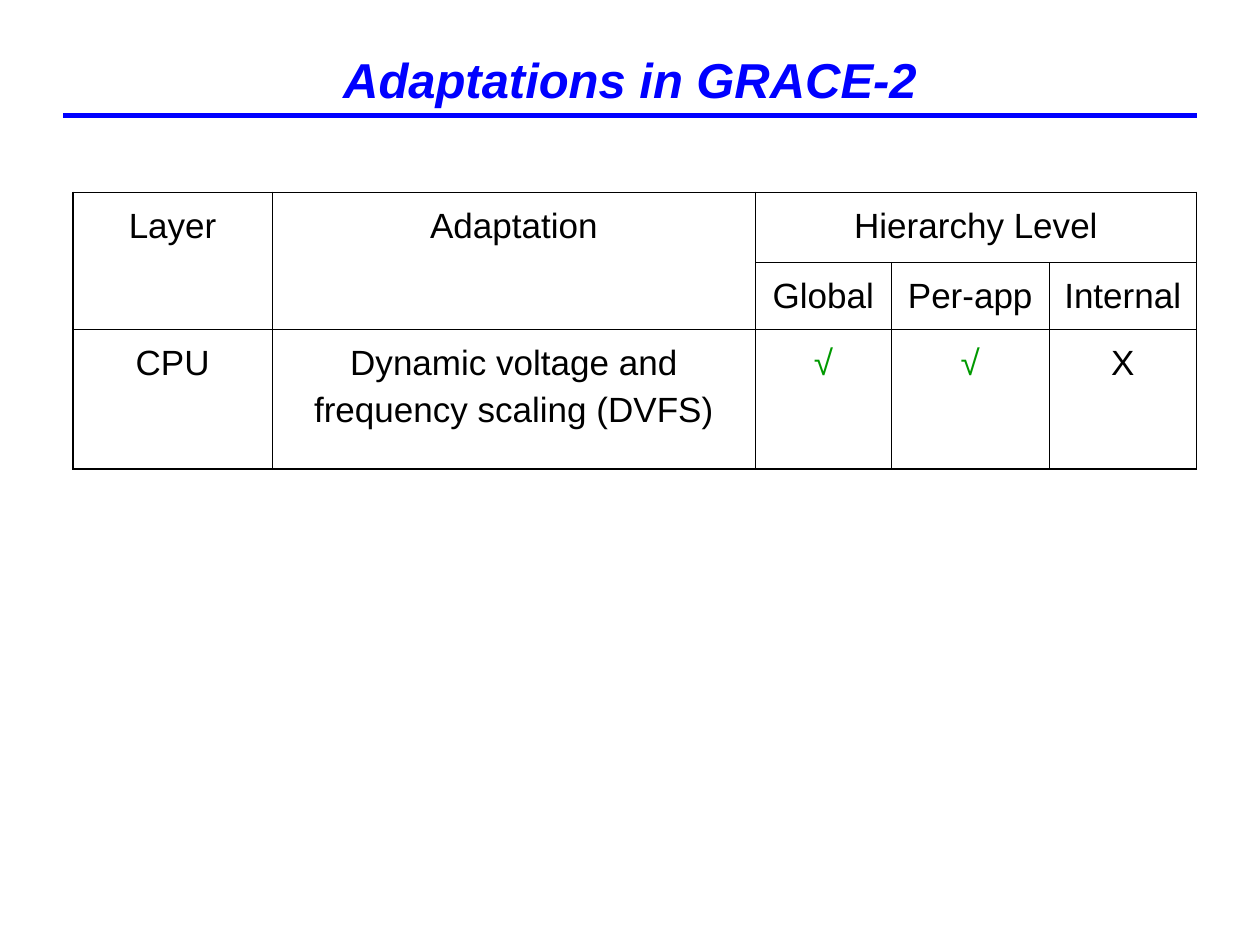
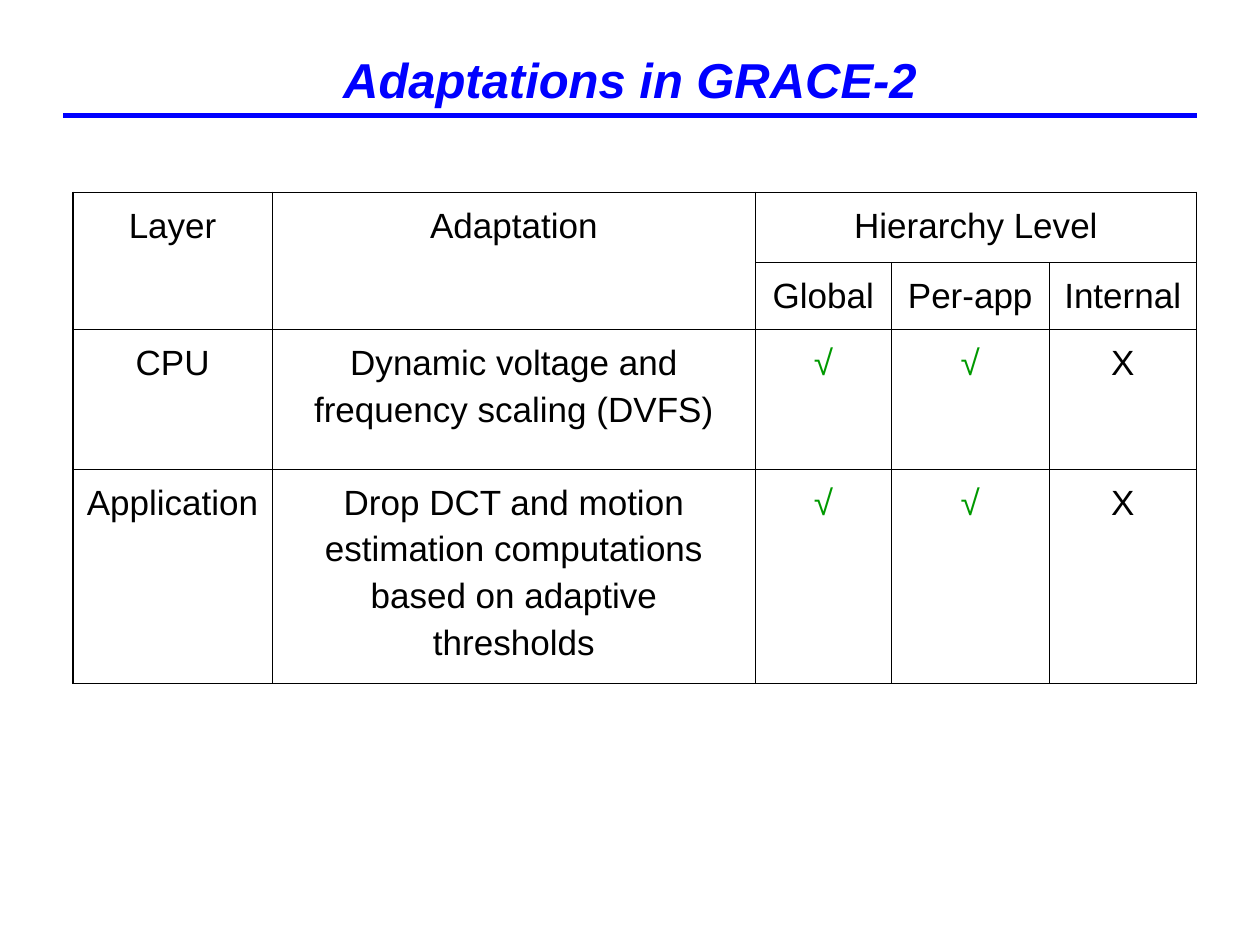
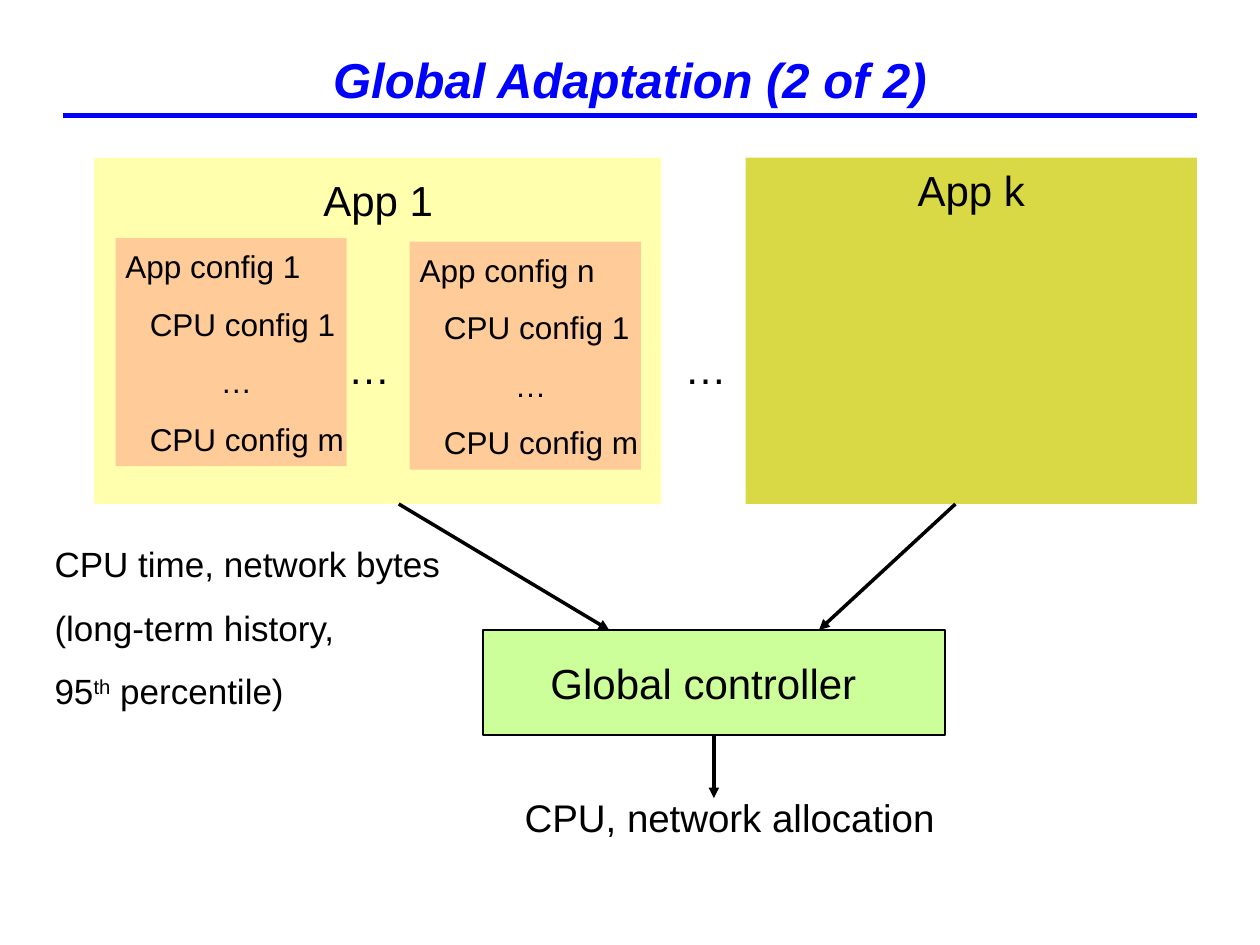
from dataclasses import dataclass

from lxml import etree
from pptx import Presentation
from pptx.dml.color import RGBColor
from pptx.enum.shapes import MSO_CONNECTOR, MSO_SHAPE
from pptx.enum.text import MSO_ANCHOR, PP_ALIGN
from pptx.oxml.ns import qn
from pptx.util import Cm, Pt

LEFT, CENTER = PP_ALIGN.LEFT, PP_ALIGN.CENTER
TOP, MIDDLE = MSO_ANCHOR.TOP, MSO_ANCHOR.MIDDLE
RECTANGLE, STRAIGHT = MSO_SHAPE.RECTANGLE, MSO_CONNECTOR.STRAIGHT


@dataclass(frozen=True)
class Theme:
    font: str = "Arial"
    ink: str = "000000"
    accent: str = "0000FF"
    check: str = "009900"
    app_one: str = "FFFF99"
    app_last: str = "CCCC00"
    config: str = "FFCC99"
    controller: str = "CCFF99"
    title_size: float = 28
    label_size: float = 24
    result_size: float = 22
    body_size: float = 20
    config_size: float = 18
    rule_width: float = 3
    arrow_width: float = 2
    outline_width: float = 0.75
    outer_border: float = 1.08
    inner_border: float = 0.45


def set_values(target, values):
    for name, value in values.items():
        setattr(target, name, value)


class SlideBuilder:
    def __init__(self, deck, theme):
        self.deck = deck
        self.theme = theme
        self.slide = None

    def start(self, title):
        self.slide = self.deck.slides.add_slide(self.deck.slide_layouts[6])
        theme = self.theme
        self.line((1.27, 2.33), (24.13, 2.33), theme.accent, theme.rule_width)
        self.text((1.27, 0.64, 22.86, 1.9), [title], theme.title_size, align=CENTER,
                  anchor=MIDDLE, color=theme.accent, bold=True, italic=True)

    def line(self, start, end, color, width, arrow=False):
        line = self.slide.shapes.add_connector(STRAIGHT, *map(Cm, start + end))
        line.line.color.rgb = RGBColor.from_string(color)
        line.line.width = Pt(width)
        properties = line._element.spPr
        etree.SubElement(properties, qn("a:effectLst"))
        if arrow:
            etree.SubElement(properties.find(qn("a:ln")), qn("a:tailEnd"), type="triangle")

    def arrow(self, start, end):
        self.line(start, end, self.theme.ink, self.theme.arrow_width, arrow=True)

    def box(self, area, color, opacity=100, outlined=False):
        box = self.slide.shapes.add_shape(RECTANGLE, *map(Cm, area))
        box.shadow.inherit = False
        box.fill.solid()
        box.fill.fore_color.rgb = RGBColor.from_string(color)
        if opacity < 100:
            fill_color = box._element.spPr.find(qn("a:solidFill"))[0]
            etree.SubElement(fill_color, qn("a:alpha"), val=str(opacity * 1000))
        if outlined:
            box.line.color.rgb = RGBColor.from_string(self.theme.ink)
            box.line.width = Pt(self.theme.outline_width)
        else:
            box.line.fill.background()
        return box

    def text(self, area, lines, size, **style):
        box = self.slide.shapes.add_textbox(*map(Cm, area))
        self.fill_text(box.text_frame, lines, size, **style)

    def fill_text(self, frame, lines, size, align=LEFT, anchor=TOP, color=None, space=0,
                  spacing=None, indents=(), margins=(0.25, 0.13, 0.25, 0.13), **style):
        sides = ("margin_left", "margin_top", "margin_right", "margin_bottom")
        set_values(frame, dict(zip(sides, map(Cm, margins))))
        set_values(frame, {"word_wrap": True, "vertical_anchor": anchor})
        font = {"name": self.theme.font, "size": Pt(size), **style}
        for index, line in enumerate(lines):
            para = frame.paragraphs[0] if index == 0 else frame.add_paragraph()
            set_values(para, {"alignment": align, "space_before": Pt(space),
                              "line_spacing": spacing})
            if indents:
                properties = para._p.get_or_add_pPr()
                properties.set("marL", str(Cm(indents[index])))
                properties.set("indent", "0")
            for part in [line] if isinstance(line, str) else line:
                content, baseline = (part, 0) if isinstance(part, str) else part
                span = para.add_run()
                span.text = content
                set_values(span.font, font)
                span.font.color.rgb = RGBColor.from_string(color or self.theme.ink)
                if baseline:
                    span._r.get_or_add_rPr().set("baseline", str(baseline * 1000))

    def table(self, corner, widths, heights, rows, merges):
        area = (*corner, sum(widths), sum(heights))
        table = self.slide.shapes.add_table(len(rows), len(widths), *map(Cm, area)).table
        set_values(table, {"first_row": False, "horz_banding": False})
        for column, width in zip(table.columns, widths):
            column.width = Cm(width)
        for row, height in zip(table.rows, heights):
            row.height = Cm(height)
        for first, last in merges:
            table.cell(*first).merge(table.cell(*last))
        for top, row in enumerate(rows):
            for left, content in enumerate(row):
                cell = table.cell(top, left)
                right, bottom = left + cell.span_width, top + cell.span_height
                self.borders(cell, {"L": left == 0, "R": right == len(widths),
                                    "T": top == 0, "B": bottom == len(rows)})
                cell.fill.background()
                if content:
                    self.fill_text(cell.text_frame, [content], self.theme.body_size,
                                   align=CENTER, space=25, spacing=1.2,
                                   color=self.theme.check if content == "√" else None)

    def borders(self, cell, outer_sides):
        properties = cell._tc.get_or_add_tcPr()
        for side, outer in outer_sides.items():
            width = self.theme.outer_border if outer else self.theme.inner_border
            line = etree.SubElement(properties, qn(f"a:ln{side}"), w=str(Pt(width)))
            fill = etree.SubElement(line, qn("a:solidFill"))
            etree.SubElement(fill, qn("a:srgbClr"), val=self.theme.ink)


HEADER_ROWS = [
    ["Layer", "Adaptation", "Hierarchy Level", "", ""],
    ["", "", "Global", "Per-app", "Internal"],
]
LAYER_ROWS = [
    ["CPU", "Dynamic voltage and frequency scaling (DVFS)", "√", "√", "X"],
    ["Application", "Drop DCT and motion estimation computations based on adaptive thresholds",
     "√", "√", "X"],
]
HEADER_MERGES = [((0, 0), (1, 0)), ((0, 1), (1, 1)), ((0, 2), (0, 4))]
COLUMN_WIDTHS = [4.02, 9.74, 2.74, 3.18, 2.97]
ROW_HEIGHTS = [1.41, 1.35, 2.82, 3.3]


def adaptations_slide(builder, layer_count):
    builder.start("Adaptations in GRACE-2")
    rows = HEADER_ROWS + LAYER_ROWS[:layer_count]
    builder.table((1.47, 3.88), COLUMN_WIDTHS, ROW_HEIGHTS[:len(rows)], rows, HEADER_MERGES)


def global_adaptation_slide(builder):
    theme = builder.theme
    builder.start("Global Adaptation (2 of 2)")
    label = {"size": theme.label_size, "space": 15}

    builder.box((1.9, 3.18, 11.43, 6.98), theme.app_one, opacity=80)
    builder.text((5.72, 3.39, 3.81, 1.27), ["App 1"], align=CENTER, **label)
    app_last = builder.box((15.03, 3.18, 9.1, 6.98), theme.app_last, opacity=73)
    builder.fill_text(app_last.text_frame, ["App k"], align=CENTER, **label)

    for name, left, top in (("1", 2.33, 4.8), ("n", 8.26, 4.87)):
        config = builder.box((left, top, 4.66, 4.6), theme.config)
        lines = [f"App config {name}", "CPU config 1", "…", "CPU config m"]
        builder.fill_text(config.text_frame, lines, theme.config_size, space=11.2,
                          indents=(0.2, 0.69, 2.12, 0.69), margins=(0, 0.19, 0, 0.13))
    for left in (6.77, 13.55):
        builder.text((left, 6.77, 1.06, 1.27), ["…"], **label)

    builder.box((9.74, 12.7, 9.31, 2.12), theme.controller, outlined=True)
    builder.text((10.58, 13.12, 7.2, 1.27), ["Global controller"], align=CENTER, **label)
    builder.text((0.85, 10.8, 8.47, 3.68),
                 ["CPU time, network bytes", "(long-term history,",
                  ["95", ("th", 30), " percentile)"]], theme.body_size, space=12.5)
    builder.text((6.99, 15.88, 15.44, 1.2), ["CPU, network allocation"],
                 theme.result_size, align=CENTER, space=13.8)

    builder.arrow((8.04, 10.16), (12.28, 12.7))
    builder.arrow((19.26, 10.16), (16.51, 12.7))
    builder.arrow((14.39, 14.82), (14.39, 16.09))


def main():
    deck = Presentation()
    set_values(deck, {"slide_width": Cm(25.4), "slide_height": Cm(19.05)})
    builder = SlideBuilder(deck, Theme())
    for layer_count in (1, 2):
        adaptations_slide(builder, layer_count)
    global_adaptation_slide(builder)
    deck.save("out.pptx")


if __name__ == "__main__":
    main()
